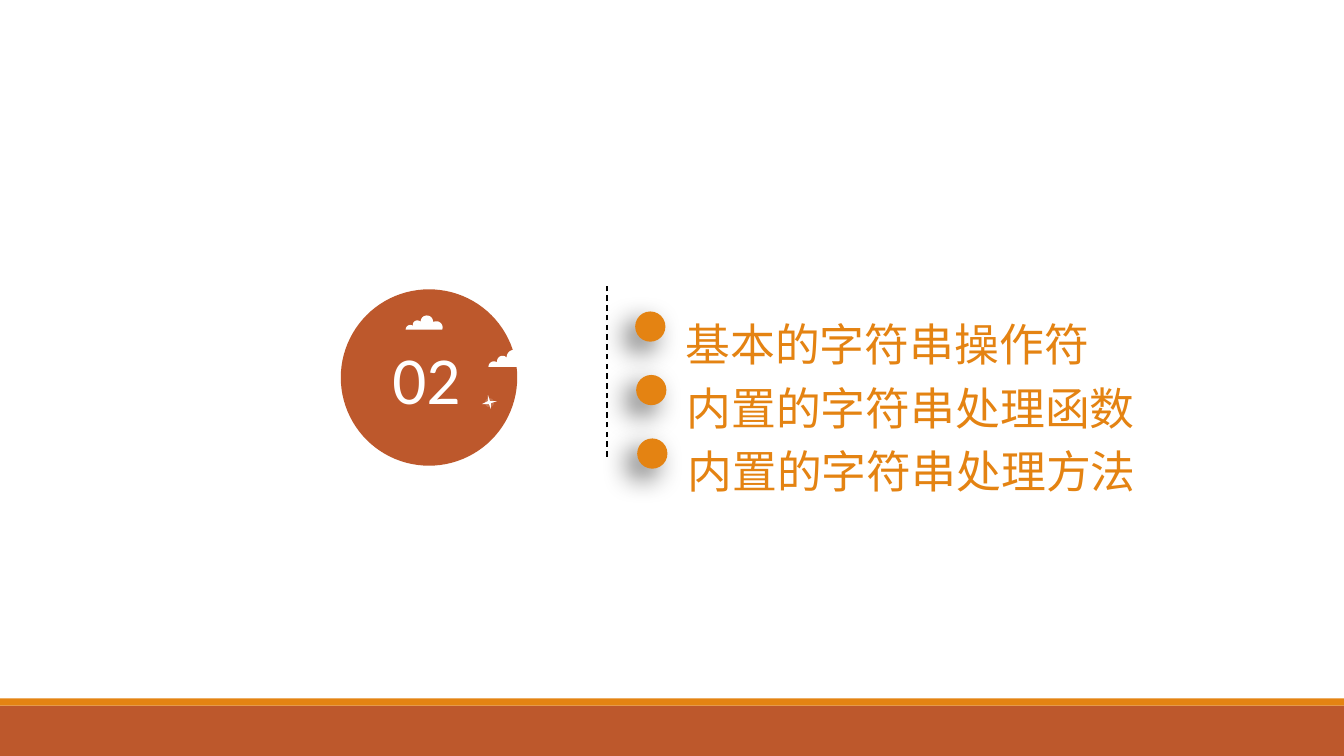
"""Build a section slide with a numbered badge and three topics."""
from dataclasses import dataclass
from math import cos, radians, sin

from lxml.etree import SubElement
from pptx import Presentation
from pptx.dml.color import RGBColor
from pptx.enum.dml import MSO_LINE
from pptx.enum.shapes import MSO_CONNECTOR, MSO_SHAPE
from pptx.enum.text import MSO_AUTO_SIZE, PP_ALIGN
from pptx.oxml.ns import qn
from pptx.util import Inches, Pt


@dataclass(frozen=True)
class Theme:
    """Colours, fonts and type sizes of the slide."""
    rust: str = "BD582C"
    orange: str = "E48312"
    white: str = "FFFFFF"
    black: str = "000000"
    number_font: str = "Calibri"
    topic_font: str = "Arial"
    number_size: int = 48
    topic_size: int = 32


THEME = Theme()
TOPICS = ["基本的字符串操作符", "内置的字符串处理函数", "内置的字符串处理方法"]
CLOUD_WIDTH = 0.45
CLOUD_LOBES = [
    (0.375, 0.145, 0.075, -20, 125),
    (0.26, 0.075, 0.075, 0, 180),
    (0.145, 0.115, 0.055, 45, 180),
    (0.06, 0.17, 0.055, 55, 180),
]
STAR = [(0.09, 0.14), (0.09, 0.08), (0.15, 0.06), (0.08, 0.06),
        (0.06, 0), (0.06, 0.06), (0, 0.09), (0.07, 0.09)]


def paint(sp, color):
    """Give a shape a plain fill without line or shadow."""
    sp.shadow.inherit = False
    sp.fill.solid()
    sp.fill.fore_color.rgb = RGBColor.from_string(color)
    sp.line.fill.background()
    return sp


def add_preset(shapes, kind, box, color):
    """Add a plain preset shape."""
    return paint(shapes.add_shape(kind, *map(Inches, box)), color)


def add_outline(shapes, left, top, points):
    """Add a white closed outline from points relative to a corner."""
    points = [(Inches(left + x), Inches(top + y)) for x, y in points]
    builder = shapes.build_freeform(*points[0])
    builder.add_line_segments(points[1:], close=True)
    return paint(builder.convert_to_shape(), THEME.white)


def add_cloud(shapes, left, top, width):
    """Add a cloud made of round lobes on a flat base."""
    scale = width / CLOUD_WIDTH
    points = []
    for cx, cy, radius, start, end in CLOUD_LOBES:
        for step in range(13):
            angle = radians(start + (end - start) * step / 12)
            points.append((scale * (cx + radius * cos(angle)),
                           scale * (cy - radius * sin(angle))))
    add_outline(shapes, left, top, points)


def add_text(shapes, box, text, font, frame, paragraph):
    """Add a one-line text box with the given formats."""
    tf = shapes.add_textbox(*map(Inches, box)).text_frame
    p = tf.paragraphs[0]
    r = p.add_run()
    r.text = text
    r.font.color.rgb = RGBColor.from_string(font.pop("color"))
    for target, values in ((tf, frame), (p, paragraph), (r.font, font)):
        for name, value in values.items():
            setattr(target, name, value)


def add_shadow(sp):
    """Add a soft shadow to the lower left."""
    effects = sp.element.spPr.find(qn("a:effectLst"))
    shadow = SubElement(effects, qn("a:outerShdw"), blurRad=str(Pt(20)),
                        dist=str(Pt(10)), dir="8100000", algn="tr", rotWithShape="0")
    color = SubElement(shadow, qn("a:srgbClr"), val=THEME.black)
    SubElement(color, qn("a:alpha"), val="60000")


def add_badge(slide):
    """Add the numbered circle with clouds and a star."""
    shapes = slide.shapes.add_group_shape().shapes
    add_preset(shapes, MSO_SHAPE.OVAL, (3.38, 2.87, 1.75, 1.75), THEME.rust)
    add_text(shapes, (3.68, 3.35, 1.1, 0.81), "02",
             {"name": THEME.number_font, "size": Pt(THEME.number_size),
              "color": THEME.white},
             {"margin_left": 0, "margin_top": 0, "margin_right": 0,
              "margin_bottom": 0, "word_wrap": True,
              "auto_size": MSO_AUTO_SIZE.SHAPE_TO_FIT_TEXT},
             {"alignment": PP_ALIGN.CENTER})
    add_cloud(shapes, 4.84, 3.47, 0.45)
    add_cloud(shapes, 4.02, 3.13, 0.37)
    add_outline(shapes, 4.78, 3.92, STAR)
    glow = add_preset(shapes, MSO_SHAPE.OVAL, (4.81, 3.95, 0.09, 0.09), THEME.white)
    color = glow.element.spPr.find(qn("a:solidFill"))[0]
    SubElement(color, qn("a:alpha"), val="17000")


def add_divider(slide):
    """Add the dashed line between badge and topics."""
    line = slide.shapes.add_connector(
        MSO_CONNECTOR.STRAIGHT, *map(Inches, (6.02, 4.53, 6.02, 2.8)))
    line.line.color.rgb = RGBColor.from_string(THEME.black)
    line.line.width = Pt(1)
    line.line.dash_style = MSO_LINE.DASH
    SubElement(line.element.spPr, qn("a:effectLst"))


def add_topic(slide, index, text):
    """Add one topic with its round marker."""
    left, top = 6.3 + 0.01 * index, 2.99 + 0.63 * index
    width = 4.24 if index == 0 else 4.69
    add_text(slide.shapes, (left + 0.4, top, width, 0.69), text,
             {"name": THEME.topic_font, "size": Pt(THEME.topic_size),
              "color": THEME.orange},
             {"word_wrap": False, "auto_size": MSO_AUTO_SIZE.SHAPE_TO_FIT_TEXT},
             {"line_spacing": 1.2})
    add_shadow(add_preset(slide.shapes, MSO_SHAPE.OVAL,
                          (left, top + 0.1, 0.3, 0.3), THEME.orange))


def main():
    """Build and save the slide."""
    prs = Presentation()
    prs.slide_width, prs.slide_height = Inches(13.33), Inches(7.5)
    s = prs.slides.add_slide(prs.slide_layouts[6])
    add_preset(s.shapes, MSO_SHAPE.RECTANGLE, (0, 7, 13.33, 0.5), THEME.rust)
    add_preset(s.shapes, MSO_SHAPE.RECTANGLE, (0, 6.93, 13.33, 0.07), THEME.orange)
    add_badge(s)
    add_divider(s)
    for index, text in enumerate(TOPICS):
        add_topic(s, index, text)
    prs.save("out.pptx")


if __name__ == "__main__":
    main()
